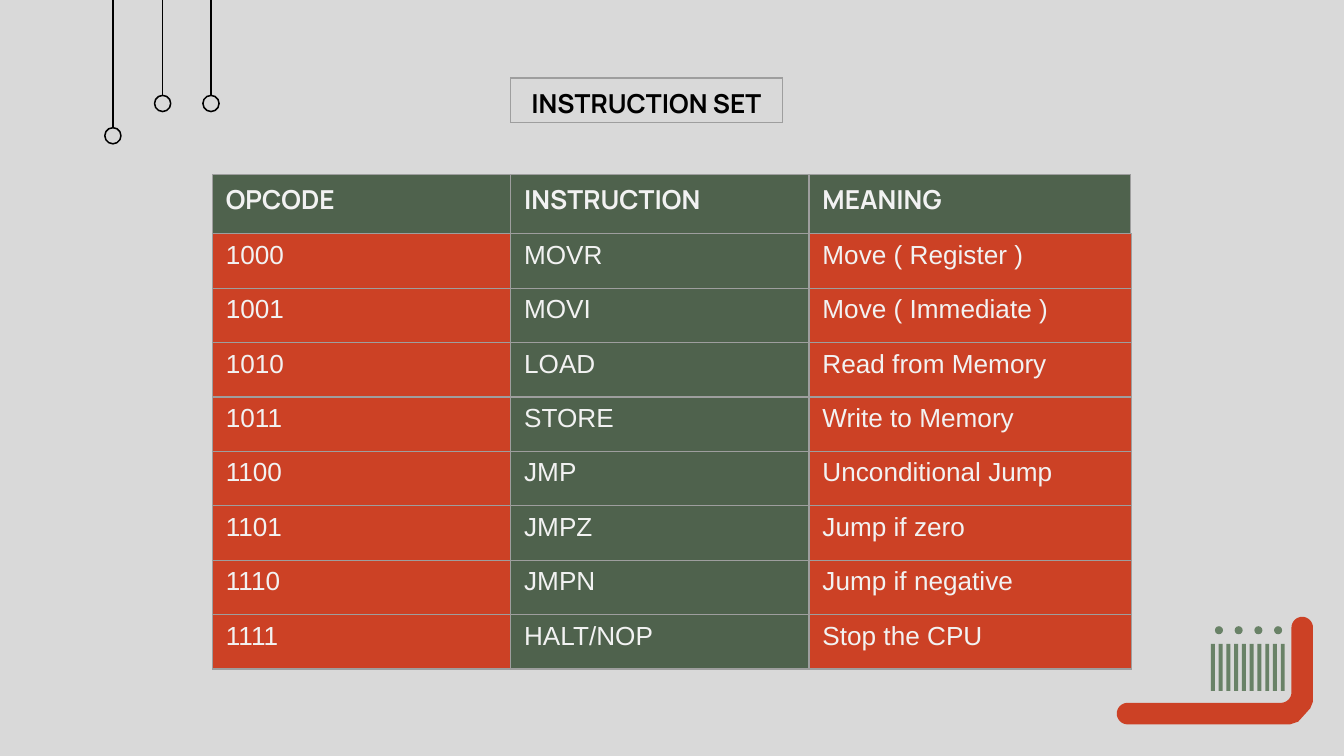
from math import cos, radians, sin

from lxml.etree import SubElement
from pptx import Presentation
from pptx.dml.color import RGBColor
from pptx.enum.shapes import MSO_CONNECTOR as Connector, MSO_SHAPE as Shape
from pptx.enum.text import PP_ALIGN as Align
from pptx.oxml.ns import qn
from pptx.util import Inches, Pt

BLACK = RGBColor(0x00, 0x00, 0x00)
GRAY = RGBColor(0xD9, 0xD9, 0xD9)
BORDER = RGBColor(0x9E, 0x9E, 0x9E)
WHITE = RGBColor(0xF2, 0xF2, 0xF2)
GREEN = RGBColor(0x4F, 0x62, 0x4D)
SAGE = RGBColor(0x69, 0x82, 0x67)
RED = RGBColor(0xCC, 0x41, 0x25)

TITLE = [["INSTRUCTION SET"]]
HEADER = [["OPCODE", "INSTRUCTION", "MEANING"]]
INSTRUCTIONS = [
    ["1000", "MOVR", "Move ( Register )"],
    ["1001", "MOVI", "Move ( Immediate )"],
    ["1010", "LOAD", "Read from Memory"],
    ["1011", "STORE", "Write to Memory"],
    ["1100", "JMP", "Unconditional Jump"],
    ["1101", "JMPZ", "Jump if zero"],
    ["1110", "JMPN", "Jump if negative"],
    ["1111", "HALT/NOP", "Stop the CPU"],
]
PENDANTS = [(0.84, 0.95), (1.21, 0.71), (1.57, 0.71)]
RING = 0.12


def spread(first, last, count):
    return [first + (last - first) * i / (count - 1) for i in range(count)]


def arc(x, y, radius, start, end, steps=16):
    angles = [radians(angle) for angle in spread(start, end, steps + 1)]
    return [(x + radius * cos(a), y + radius * sin(a)) for a in angles]


def paint(shape, color):
    shape.shadow.inherit = False
    shape.fill.solid()
    shape.fill.fore_color.rgb = color
    shape.line.fill.background()


def add_filled(page, kind, left, top, width, height, color):
    shape = page.shapes.add_shape(
        kind, Inches(left), Inches(top), Inches(width), Inches(height))
    paint(shape, color)
    return shape


def add_pendant(page, x, drop):
    cord = page.shapes.add_connector(
        Connector.STRAIGHT, Inches(x), 0, Inches(x), Inches(drop))
    SubElement(cord._element.spPr, qn("a:effectLst"))
    ring = add_filled(page, Shape.OVAL, x - RING / 2, drop, RING, RING, GRAY)
    ring.fill.background()
    for part in (cord, ring):
        part.line.color.rgb = BLACK
        part.line.width = Pt(0.82)


def add_bracket(page):
    outline = (
        arc(9.69, 4.67, 0.08, 180, 360)
        + [(9.77, 5.22), (9.75, 5.27), (9.66, 5.37), (9.6, 5.39)]
        + arc(8.39, 5.31, 0.08, 90, 270)
        + arc(9.53, 5.15, 0.08, 90, 0)
    )
    points = [(Inches(x), Inches(y)) for x, y in outline]
    builder = page.shapes.build_freeform(*points[0])
    builder.add_line_segments(points[1:], close=True)
    paint(builder.convert_to_shape(), RED)


def add_borders(cell):
    properties = cell._tc.get_or_add_tcPr()
    for side in ("L", "R", "T", "B"):
        line = SubElement(properties, qn(f"a:ln{side}"), w=str(Pt(0.75)))
        fill = SubElement(line, qn("a:solidFill"))
        SubElement(fill, qn("a:srgbClr"), val=str(BORDER))


def add_grid(page, rows, left, top, widths, height, fills, font, color,
             bold=False, align=Align.LEFT, margins=(0.05, 0.05)):
    table = page.shapes.add_table(
        len(rows), len(widths), Inches(left), Inches(top),
        Inches(sum(widths)), Inches(height)).table
    table.first_row = table.horz_banding = False
    for column, width in zip(table.columns, widths):
        column.width = Inches(width)
    for row, texts in zip(table.rows, rows):
        row.height = Inches(height / len(rows))
        for cell, text, fill in zip(row.cells, texts, fills):
            add_borders(cell)
            if fill is None:
                cell.fill.background()
            else:
                cell.fill.solid()
                cell.fill.fore_color.rgb = fill
            cell.margin_top, cell.margin_bottom = map(Inches, margins)
            para = cell.text_frame.paragraphs[0]
            para.alignment = align
            span = para.add_run()
            span.text = text
            span.font.name = font
            span.font.size = Pt(14)
            span.font.bold = bold
            span.font.color.rgb = color


def main():
    deck = Presentation()
    deck.slide_width = Inches(10)
    deck.slide_height = deck.slide_width * 9 // 16
    page = deck.slides.add_slide(deck.slide_layouts[6])
    page.background.fill.solid()
    page.background.fill.fore_color.rgb = GRAY

    for x in spread(9.04, 9.48, 4):
        add_filled(page, Shape.OVAL, x, 4.66, 0.06, 0.06, SAGE)
    add_bracket(page)
    for x in spread(9.01, 9.53, 10):
        add_filled(page, Shape.RECTANGLE, x, 4.79, 0.03, 0.35, SAGE)
    for x, drop in PENDANTS:
        add_pendant(page, x, drop)

    add_grid(page, HEADER, 1.58, 1.3, [2.22, 2.22, 2.39], 0.44,
             [GREEN] * 3, "Manrope", WHITE, bold=True)
    add_grid(page, INSTRUCTIONS, 1.58, 1.74, [2.22, 2.22, 2.4], 3.24,
             [RED, GREEN, RED], "Arial", WHITE)
    add_grid(page, TITLE, 3.8, 0.58, [2.02], 0.33, [None], "Manrope", BLACK,
             bold=True, align=Align.CENTER, margins=(0.06, 0))
    deck.save("out.pptx")


if __name__ == "__main__":
    main()
